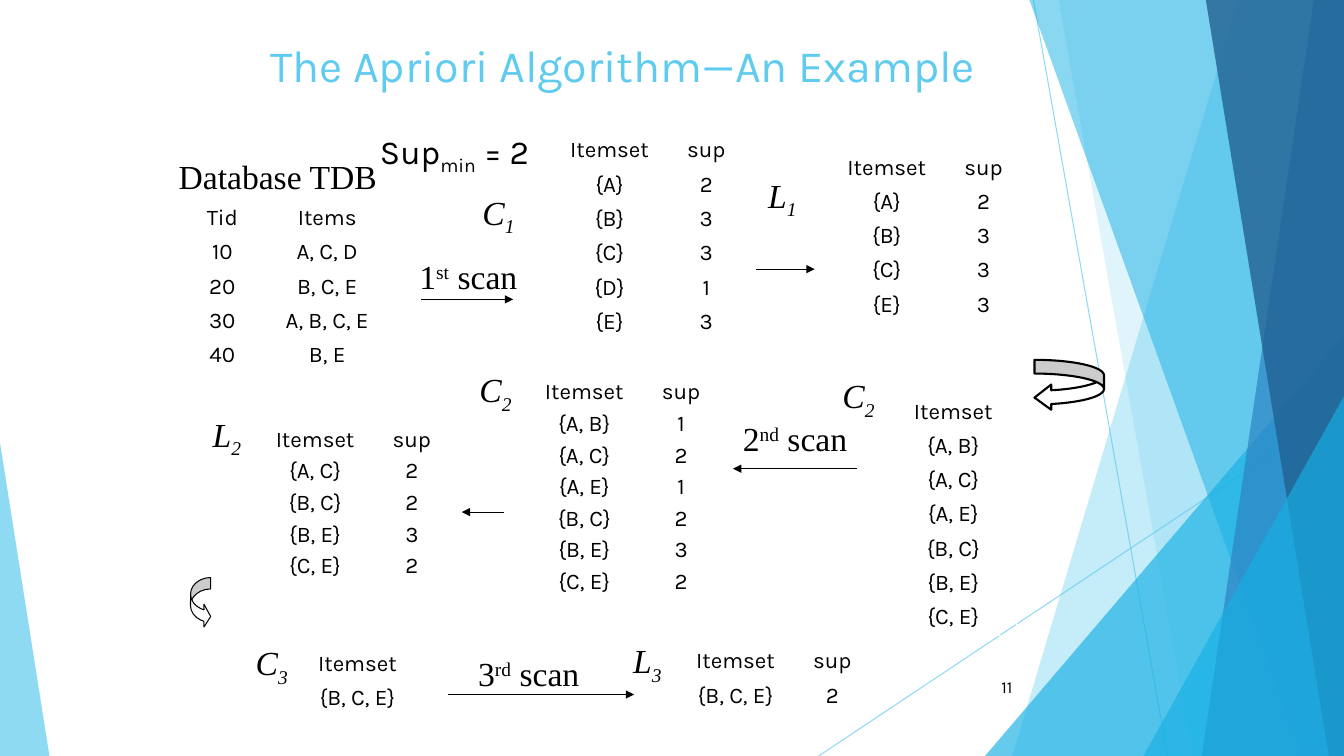
import pptx
import pptx.util
import pptx.dml.color
import pptx.enum.shapes
import pptx.enum.text
import pptx.oxml.ns
import lxml.etree

Inches, Pt = pptx.util.Inches, pptx.util.Pt
kinds = pptx.enum.shapes.MSO_SHAPE
align = pptx.enum.text.PP_ALIGN
anchor = pptx.enum.text.MSO_ANCHOR
fit = pptx.enum.text.MSO_AUTO_SIZE
qn = pptx.oxml.ns.qn
add = lxml.etree.SubElement

SANS, SERIF = "Karla", "Times New Roman"
BLACK, WHITE, SKY, BLUE = "000000", "FFFFFF", "5FCBEF", "17B0E4"


def paint(target, code, alpha=100):
    """Colour a font, fill or line, with opacity in percent."""
    fill = target if hasattr(target, "solid") else target.fill
    fill.solid()
    fill.fore_color.rgb = pptx.dml.color.RGBColor.from_string(code)
    if alpha < 100:
        shade = next(fill._xPr.iter(qn("a:srgbClr")))
        add(shade, qn("a:alpha"), val=str(alpha * 1000))


def write(para, text, look, code=BLACK, base=0):
    """Add text; each second piece between bars is shifted by base percent."""
    for i, piece in enumerate(text.split("|")):
        run = para.add_run()
        run.text = piece
        for key, value in look.items():
            setattr(run.font, key, value)
        paint(run.font, code)
        if i % 2:
            run.font._element.set("baseline", str(base * 1000))


deck = pptx.Presentation()
deck.slide_width, deck.slide_height = Inches(13.33), Inches(7.5)
slide = deck.slides.add_slide(deck.slide_layouts[6])
shapes = slide.shapes

# Lines: from, to, colour, opacity, arrowhead
lines = [
    (10.25, 0, 11.58, 7.5, SKY, 70, False),
    (13.33, 4.03, 8.12, 7.5, SKY, 70, False),
    (4.18, 2.97, 5.09, 2.97, BLACK, 100, True),
    (8.5, 4.65, 7.27, 4.65, BLACK, 100, True),
    (4.44, 6.89, 6.29, 6.89, BLACK, 100, True),
    (7.5, 2.67, 8.08, 2.67, BLACK, 100, True),
    (5, 5.08, 4.58, 5.08, BLACK, 100, True),
]
for *ends, code, alpha, head in lines:
    line = shapes.add_connector(
        pptx.enum.shapes.MSO_CONNECTOR.STRAIGHT, *map(Inches, ends))
    line.line.width = Pt(0.75)
    paint(line.line, code, alpha)
    props = line._element.spPr
    if head:
        add(props.find(qn("a:ln")), qn("a:tailEnd"), type="triangle")
    add(props, qn("a:effectLst"))

# Backdrop: bands give top left, bottom left; triangles give box and tip
bands = [
    ("band", (12.28, 10.04), SKY, 36),
    ("band", (10.5, 11.83), SKY, 20),
    ("tri", (9.77, 3.33, 3.56, 4.17, 1), BLUE, 66),
    ("band", (10.21, 12.91), BLUE, 50),
    ("band", (13.03, 11.92), "2E83C3", 70),
    ("band", (11.96, 13.18), "226292", 80),
    ("tri", (11.34, 3.93, 1.99, 3.57, 1), BLUE, 66),
    ("tri", (0, 4.39, 0.49, 3.11, 0), SKY, 70),
]
for kind, size, code, alpha in bands:
    if kind == "band":
        top, low = map(Inches, size)
        wide, high = deck.slide_width, deck.slide_height
        form = shapes.build_freeform(top, 0, scale=1.0)
        form.add_line_segments([(wide, 0), (wide, high), (low, high)], close=True)
        shape = form.convert_to_shape()
    else:
        *box, tip = size
        shape = shapes.add_shape(kinds.ISOSCELES_TRIANGLE, *map(Inches, box))
        shape.adjustments[0] = tip
    shape.shadow.inherit = False
    shape.line.fill.background()
    paint(shape.fill, code, alpha)

# Curved arrows to the next pass
turns = [
    (kinds.CURVED_LEFT_ARROW, (10.26, 3.57, 0.69, 0.5), (0.273, 0.546, 0.333), 1.5),
    (kinds.CURVED_RIGHT_ARROW, (1.89, 5.73, 0.2, 0.5), (0.566, 1.132, 0.333), 0.75),
]
for kind, box, bends, width in turns:
    turn = shapes.add_shape(kind, *map(Inches, box))
    turn.shadow.inherit = False
    for i, bend in enumerate(bends):
        turn.adjustments[i] = bend
    paint(turn.fill, WHITE)
    paint(turn.line, BLACK)
    turn.line.width = Pt(width)

# Title, support and page number
notes = [
    ((2.58, 0.33, 8.52, 0.67), "The Apriori Algorithm—An Example", 32, SKY,
     align.LEFT, anchor.TOP),
    ((3.67, 1.25, 1.92, 0.5), "Sup|min| = 2", 24, BLACK, align.LEFT, anchor.TOP),
    ((9.39, 6.61, 0.75, 0.4), "11", 12, BLACK, align.RIGHT, anchor.MIDDLE),
]
for box, text, size, code, side, hold in notes:
    frame = shapes.add_textbox(*map(Inches, box)).text_frame
    frame.word_wrap = True
    frame.vertical_anchor = hold
    frame.paragraphs[0].alignment = side
    write(frame.paragraphs[0], text, {"name": SANS, "size": Pt(size)}, code, -25)

# Set names and scan labels
labels = [
    (1.67, 1.5, 2.17, "Database TDB"),
    (4.05, 2.49, 1.19, "1|st| scan"),
    (7.25, 4.1, 1.27, "2|nd| scan"),
    (4.63, 6.43, 1.23, "3|rd| scan"),
    (4.68, 1.88, 0.53, "C|1"),
    (7.51, 1.71, 0.5, "L|1"),
    (2, 4.08, 0.5, "L|2"),
    (4.65, 3.64, 0.53, "C|2"),
    (8.25, 3.7, 0.53, "C|2"),
    (2.43, 6.35, 0.53, "C|3"),
    (6.17, 6.33, 0.5, "L|3"),
]
for left, top, width, text in labels:
    frame = shapes.add_textbox(*map(Inches, (left, top, width, 0.5))).text_frame
    frame.word_wrap = False
    frame.auto_size = fit.SHAPE_TO_FIT_TEXT
    frame.vertical_anchor = anchor.MIDDLE
    frame.paragraphs[0].alignment = align.CENTER
    name = text[0] in "CL"
    look = {"name": SERIF, "size": Pt(24), "italic": name}
    write(frame.paragraphs[0], text, look, base=-25 if name else 30)

# Tables: left, top, column widths, row height, line spacing, rows
PAIR, ONE = (1.25, 0.67), (1.25,)
grids = [
    (1.83, 2, (0.75, 1.33), 0.34, 0.9,
     ["Tid|Items", "10|A, C, D", "20|B, C, E", "30|A, B, C, E", "40|B, E"]),
    (5.42, 1.33, PAIR, 0.34, 0.9,
     ["Itemset|sup", "{A}|2", "{B}|3", "{C}|3", "{D}|1", "{E}|3"]),
    (8.17, 1.5, PAIR, 0.34, 0.9,
     ["Itemset|sup", "{A}|2", "{B}|3", "{C}|3", "{E}|3"]),
    (8.83, 3.92, ONE, 0.34, 0.9,
     ["Itemset", "{A, B}", "{A, C}", "{A, E}", "{B, C}", "{B, E}", "{C, E}"]),
    (5.17, 3.75, PAIR, 0.31, 0.8,
     ["Itemset|sup", "{A, B}|1", "{A, C}|2", "{A, E}|1", "{B, C}|2",
      "{B, E}|3", "{C, E}|2"]),
    (2.5, 4.22, PAIR, 0.31, 0.8,
     ["Itemset|sup", "{A, C}|2", "{B, C}|2", "{B, E}|3", "{C, E}|2"]),
    (2.92, 6.42, ONE, 0.34, 0.9, ["Itemset", "{B, C, E}"]),
    (6.67, 6.42, PAIR, 0.34, 0.8, ["Itemset|sup", "{B, C, E}|2"]),
]
for left, top, wide, high, space, rows in grids:
    box = (left, top, sum(wide), high * len(rows))
    grid = shapes.add_table(len(rows), len(wide), *map(Inches, box)).table
    grid.first_row = grid.horz_banding = False
    for col, width in zip(grid.columns, wide):
        col.width = Inches(width)
    for r, row in enumerate(rows):
        grid.rows[r].height = Inches(high)
        for c, text in enumerate(row.split("|")):
            cell = grid.cell(r, c)
            cell.fill.background()
            para = cell.text_frame.paragraphs[0]
            para.alignment = align.CENTER
            para.line_spacing = space
            write(para, text, {"name": SANS, "size": Pt(16)})

deck.save("out.pptx")
